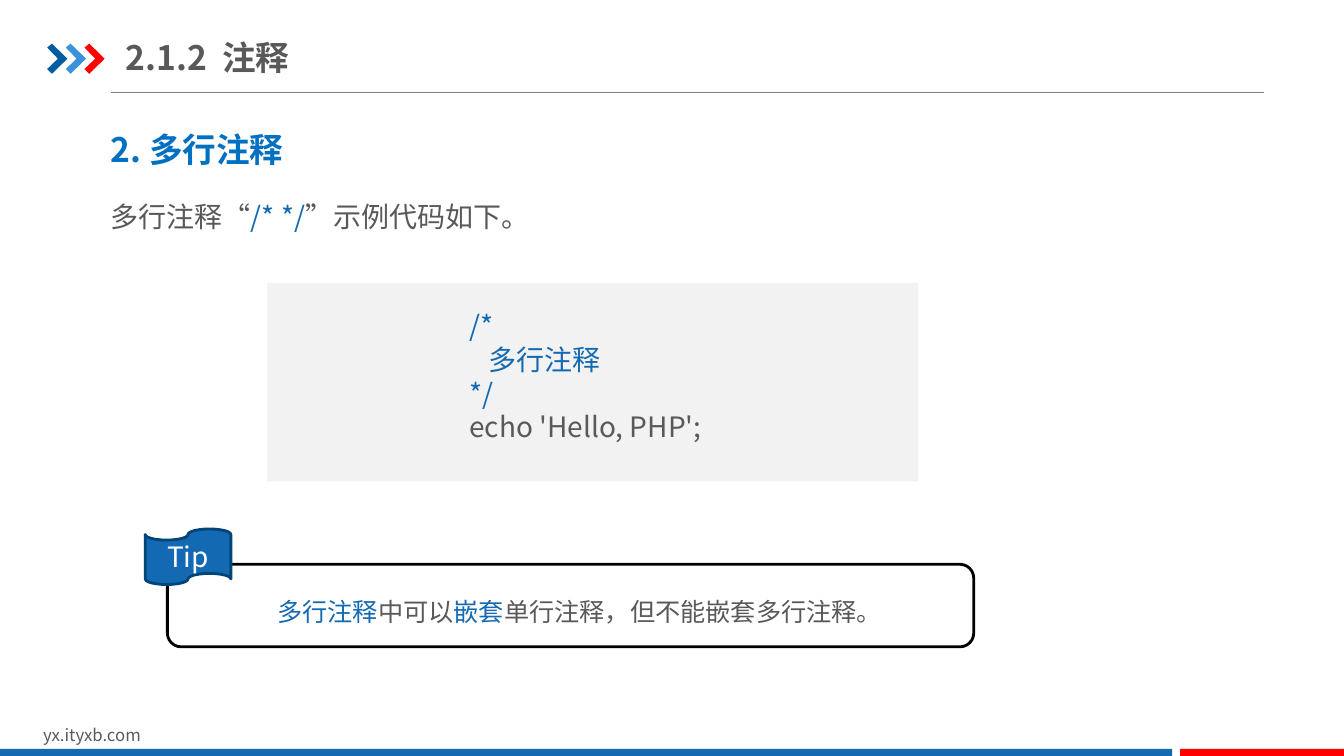
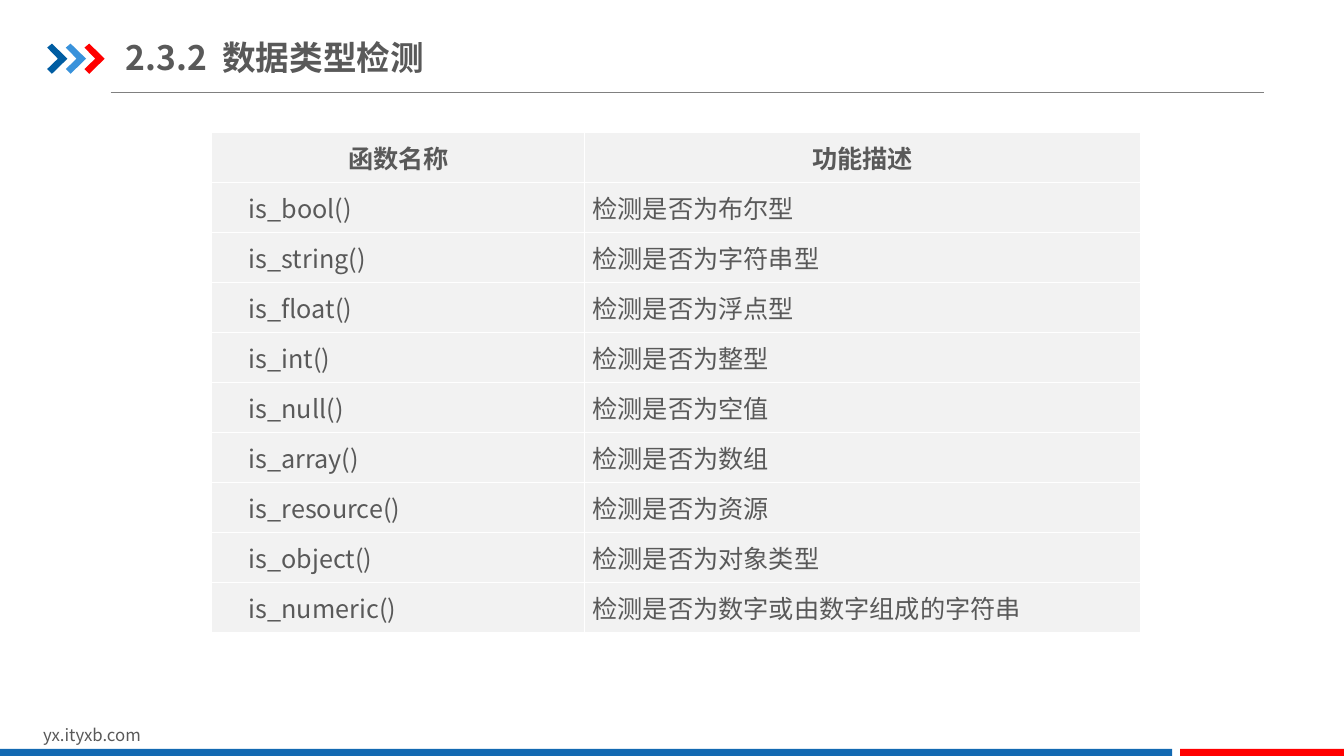
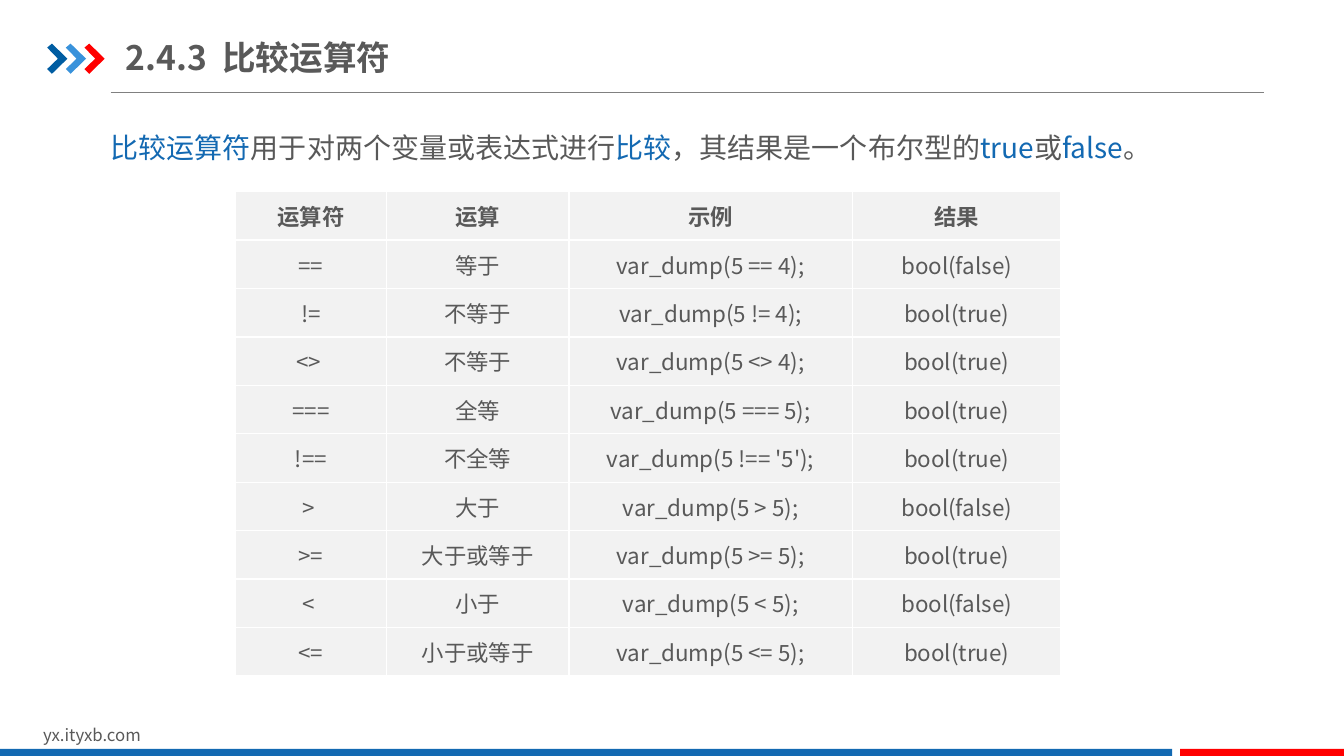
from lxml import etree
from pptx import Presentation
from pptx.dml.color import RGBColor
from pptx.enum import shapes, text
from pptx.oxml import ns
from pptx.util import Cm, Pt

FONT = "Noto Sans CJK SC"
GREY = RGBColor(0x59, 0x59, 0x59)
RULE = RGBColor(0x80, 0x80, 0x80)
PALE = RGBColor(0xF2, 0xF2, 0xF2)
WHITE = RGBColor(0xFF, 0xFF, 0xFF)
BLACK = RGBColor(0x00, 0x00, 0x00)
BLUE = RGBColor(0x13, 0x69, 0xB2)
HEADING_BLUE = RGBColor(0x00, 0x70, 0xC0)
DEEP_BLUE = RGBColor(0x00, 0x5D, 0xA2)
SKY_BLUE = RGBColor(0x39, 0x92, 0xDB)
NAVY = RGBColor(0x00, 0x45, 0x78)
RED = RGBColor(0xFF, 0x00, 0x00)

LEFT, CENTER, JUSTIFY = text.PP_ALIGN.LEFT, text.PP_ALIGN.CENTER, text.PP_ALIGN.JUSTIFY
TOP, MIDDLE = text.MSO_ANCHOR.TOP, text.MSO_ANCHOR.MIDDLE
SHAPE = shapes.MSO_SHAPE
FIRST_LINE = 0.74

FUNCTIONS = [
    ("函数名称", "功能描述"),
    ("is_bool()", "检测是否为布尔型"),
    ("is_string()", "检测是否为字符串型"),
    ("is_float()", "检测是否为浮点型"),
    ("is_int()", "检测是否为整型"),
    ("is_null()", "检测是否为空值"),
    ("is_array()", "检测是否为数组"),
    ("is_resource()", "检测是否为资源"),
    ("is_object()", "检测是否为对象类型"),
    ("is_numeric()", "检测是否为数字或由数字组成的字符串"),
]
OPERATORS = [
    ("运算符", "运算", "示例", "结果"),
    ("==", "等于", "var_dump(5 == 4);", "bool(false)"),
    ("!=", "不等于", "var_dump(5 != 4);", "bool(true)"),
    ("<> ", "不等于", "var_dump(5 <> 4);", "bool(true)"),
    ("===", "全等", "var_dump(5 === 5);", "bool(true)"),
    ("!==", "不全等", "var_dump(5 !== '5');", "bool(true)"),
    ("> ", "大于", "var_dump(5 > 5);", "bool(false)"),
    (">=", "大于或等于", "var_dump(5 >= 5);", "bool(true)"),
    ("< ", "小于", "var_dump(5 < 5);", "bool(false)"),
    ("<=", "小于或等于", "var_dump(5 <= 5);", "bool(true)"),
]


def write(frame, *lines, size=20, color=GREY, bold=False, align=LEFT, spacing=None, indent=0):
    """Fill a text frame with lines, colouring the parts between backticks blue."""
    for number, line in enumerate(lines):
        paragraph = frame.add_paragraph() if number else frame.paragraphs[0]
        paragraph.alignment = align
        if spacing:
            paragraph.line_spacing = spacing
        if indent:
            paragraph._p.get_or_add_pPr().set("indent", str(Cm(indent)))
        for position, part in enumerate(line.split("`")):
            if part:
                run = paragraph.add_run()
                run.text = part
                run.font.name = FONT
                run.font.size = Pt(size)
                run.font.bold = bold
                run.font.color.rgb = BLUE if position % 2 else color
                etree.SubElement(run._r.get_or_add_rPr(), ns.qn("a:ea"), typeface=FONT)


def label(slide, box, *lines, anchor=TOP, **style):
    """Add a wrapped text box."""
    frame = slide.shapes.add_textbox(*map(Cm, box)).text_frame
    frame.word_wrap = True
    frame.vertical_anchor = anchor
    write(frame, *lines, **style)


def paint(shape, fill=None, line=None, width=2):
    """Give a shape its fill and outline, without a shadow."""
    shape.shadow.inherit = False
    if fill is None:
        shape.fill.background()
    else:
        shape.fill.solid()
        shape.fill.fore_color.rgb = fill
    if line is None:
        shape.line.fill.background()
    else:
        shape.line.color.rgb = line
        shape.line.width = Pt(width)
    return shape


def block(slide, kind, box, **look):
    """Add a painted preset shape."""
    return paint(slide.shapes.add_shape(kind, *map(Cm, box)), **look)


def chevrons(slide, left, top):
    """Draw the three chevrons beside the title."""
    outline = [(0, 0.1), (0.12, 0), (0.51, 0.38), (0.12, 0.76), (0, 0.64), (0.27, 0.38)]
    for number, color in enumerate((DEEP_BLUE, SKY_BLUE, RED)):
        points = [(Cm(left + 0.47 * number + x), Cm(top + y)) for x, y in outline]
        builder = slide.shapes.build_freeform(*points[0])
        builder.add_line_segments(points[1:])
        paint(builder.convert_to_shape(), fill=color)


def heading(slide, title, left, top):
    """Place the title, its chevrons and the rule below."""
    chevrons(slide, left, top + 0.36)
    rule = slide.shapes.add_connector(
        shapes.MSO_CONNECTOR.STRAIGHT,
        Cm(left + 1.6), Cm(top + 1.58), Cm(left + 30.66), Cm(top + 1.58))
    rule.line.color.rgb = RULE
    rule.line.width = Pt(0.75)
    etree.SubElement(rule._element.spPr, ns.qn("a:effectLst"))
    holder = slide.shapes.title
    holder.left, holder.top = Cm(left + 1.98), Cm(top)
    holder.width, holder.height = Cm(10.82), Cm(1.4)
    frame = holder.text_frame
    frame.auto_size = text.MSO_AUTO_SIZE.NONE
    frame.word_wrap = True
    frame.vertical_anchor = MIDDLE
    frame.margin_left = frame.margin_right = 0
    frame.margin_top = frame.margin_bottom = Cm(0.18)
    write(frame, title, size=24, bold=True)


def footer(slide, top):
    """Place the web address and the two bottom bands."""
    label(slide, (0.84, top, 8.08, 0.76), "yx.ityxb.com", size=12)
    for left, width, color in ((0, 29.54, BLUE), (29.74, 4.13, RED)):
        block(slide, SHAPE.RECTANGLE, (left, top + 0.73, width, 0.23), fill=color)


def new_slide(deck, title):
    """Start a slide with the shared heading and footer."""
    slide = deck.slides.add_slide(deck.slide_layouts[5])
    heading(slide, title, 1.19, 0.74)
    footer(slide, 18.14)
    return slide


def code_panel(slide, left, top, width, height, *code):
    """Show code lines on a pale panel."""
    block(slide, SHAPE.RECTANGLE, (left, top, width, height), fill=PALE)
    label(slide, (left + 4.11, top + 0.53, 8, 3.68), *code, align=JUSTIFY, indent=FIRST_LINE)


def tip_box(slide, left, top, width, height, tip):
    """Frame a tip and pin a flag on its corner."""
    label(slide, (left + 2.52, top + 0.3, width - 2.72, 1.42), tip, size=18, spacing=1.5)
    block(slide, SHAPE.ROUNDED_RECTANGLE, (left, top, width, height), line=BLACK)
    flag = block(slide, SHAPE.FLOWCHART_PUNCHED_TAPE, (left - 0.56, top - 0.89, 2.16, 1.4),
                 fill=BLUE, line=NAVY)
    flag.text_frame.vertical_anchor = MIDDLE
    write(flag.text_frame, "Tip", color=WHITE, align=CENTER)


def format_cell(cell):
    """Give a cell white borders, a pale fill and tight margins."""
    properties = cell._tc.get_or_add_tcPr()
    for side in ("a:lnL", "a:lnR", "a:lnT", "a:lnB"):
        border = etree.SubElement(properties, ns.qn(side), w=str(Pt(1)))
        fill = etree.SubElement(border, ns.qn("a:solidFill"))
        etree.SubElement(fill, ns.qn("a:srgbClr"), val=str(WHITE))
    cell.fill.solid()
    cell.fill.fore_color.rgb = PALE
    cell.vertical_anchor = MIDDLE
    cell.margin_left = cell.margin_right = Cm(0.19)
    cell.margin_top = cell.margin_bottom = 0


def grid(slide, left, top, widths, row_height, rows, size, column_styles):
    """Build a table with a bold centred header row."""
    table = slide.shapes.add_table(
        len(rows), len(widths), Cm(left), Cm(top),
        Cm(sum(widths)), Cm(row_height * len(rows))).table
    table.first_row = table.horz_banding = False
    for column, width in zip(table.columns, widths):
        column.width = Cm(width)
    for number, (row, values) in enumerate(zip(table.rows, rows)):
        row.height = Cm(row_height)
        for cell, value, style in zip(row.cells, values, column_styles):
            format_cell(cell)
            look = style if number else {"align": CENTER, "bold": True}
            write(cell.text_frame, value, size=size, **look)


def comment_slide(deck):
    """Explain multi-line comments."""
    slide = new_slide(deck, "2.1.2  注释")
    label(slide, (2.54, 4.9, 27, 1.12), "多行注释“`/* */`”示例代码如下。")
    label(slide, (2.54, 3.12, 11.13, 1.27), "2. 多行注释", size=24, color=HEADING_BLUE, bold=True)
    code_panel(slide, 6.73, 7.13, 16.41, 5,
               "`/*`", "`   多行注释`", "`*/`", "echo 'Hello, PHP';")
    tip_box(slide, 4.22, 14.22, 20.32, 2.08, "`多行注释`中可以`嵌套`单行注释，但不能嵌套多行注释。")


def type_check_slide(deck):
    """List the type checking functions."""
    slide = new_slide(deck, "2.3.2  数据类型检测")
    grid(slide, 5.34, 3.34, (9.4, 14), 1.26, FUNCTIONS, 18,
         ({"align": JUSTIFY, "indent": FIRST_LINE}, {"align": JUSTIFY}))


def operator_slide(deck):
    """List the comparison operators."""
    slide = new_slide(deck, "2.4.3  比较运算符")
    label(slide, (2.54, 2.74, 29, 1.55),
          "`比较运算符`用于对两个变量或表达式进行`比较`，其结果是一个布尔型的`true`或`false`。",
          spacing=1.5)
    grid(slide, 5.93, 4.83, (3.81, 4.6, 7.14, 5.26), 1.22, OPERATORS, 16,
         [{"align": CENTER}] * 4)


def main():
    """Build and save the deck."""
    deck = Presentation()
    deck.slide_width, deck.slide_height = Cm(33.87), Cm(19.05)
    comment_slide(deck)
    type_check_slide(deck)
    operator_slide(deck)
    deck.save("out.pptx")


if __name__ == "__main__":
    main()
